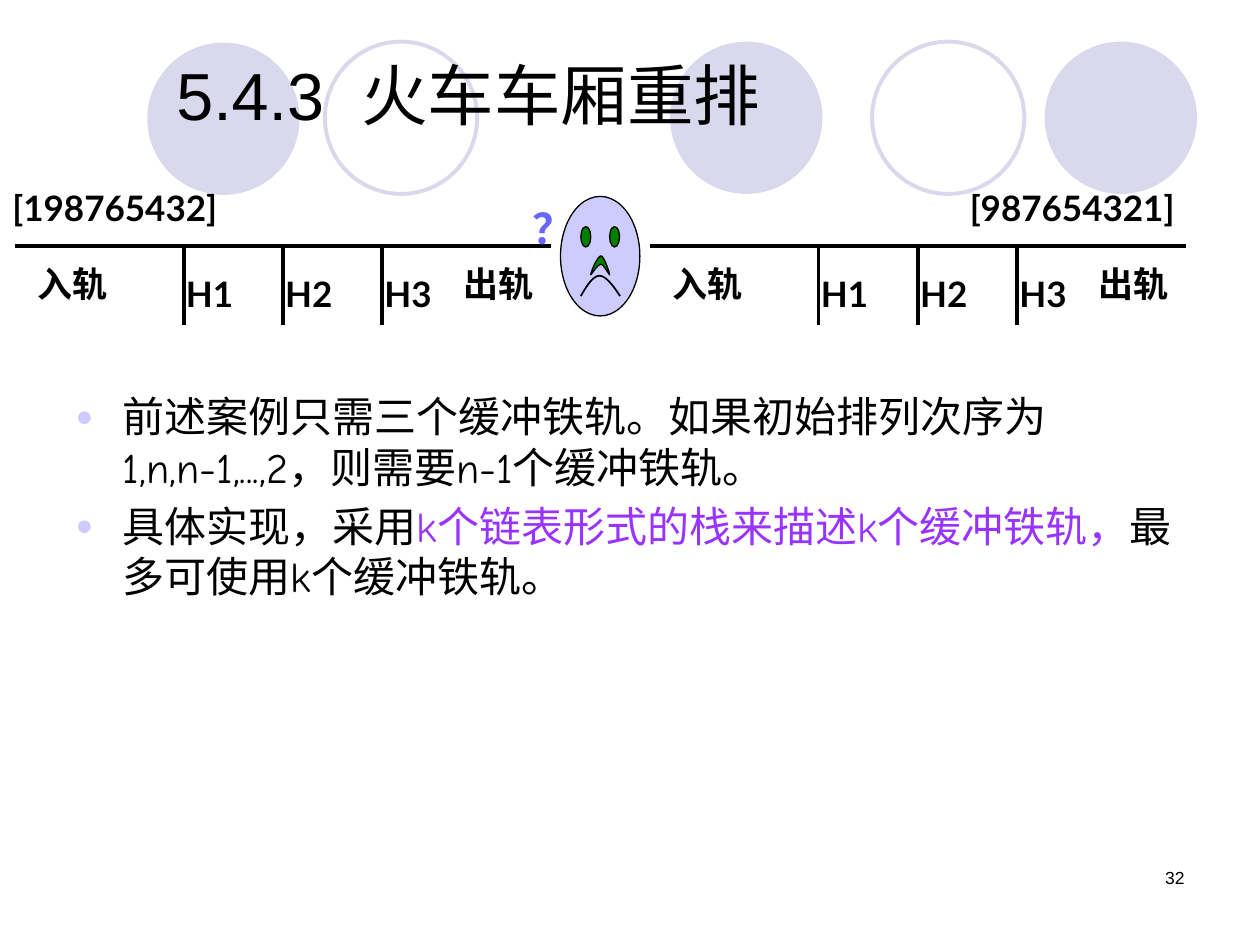
from dataclasses import dataclass

from lxml.etree import SubElement
from pptx import Presentation
from pptx.dml.color import RGBColor
from pptx.enum.shapes import MSO_CONNECTOR as Connector, MSO_SHAPE as Preset
from pptx.enum.text import MSO_ANCHOR as Anchor, MSO_AUTO_SIZE as AutoSize, PP_ALIGN as Align
from pptx.oxml.ns import qn
from pptx.util import Cm, Pt

Point = tuple[float, float]


@dataclass(frozen=True)
class Theme:
    ink: str = "000000"
    pale: str = "D9D8EC"
    lilac: str = "CCCCFF"
    accent: str = "9933FF"
    question: str = "6767FF"
    green: str = "008000"
    heading_font: str = "Arial"
    body_font: str = "Comic Neue"
    label_font: str = "Lato"
    title_size: float = 38
    body_size: float = 24
    label_size: float = 20
    number_size: float = 10
    thick: float = 2.25
    medium: float = 1
    thin: float = 0.75


@dataclass(frozen=True)
class Oval:
    left: float
    top: float
    width: float
    height: float
    fill: str | None = None
    line: str | None = None
    weight: float = 0.75


@dataclass(frozen=True)
class Track:
    left: float
    sequence: str
    sequence_left: float


THEME = Theme()
DISC = 3.07
CIRCLES = [
    Oval(13.51, 0.84, DISC, DISC, THEME.pale),
    Oval(21.06, 0.84, DISC, DISC, THEME.pale),
    Oval(2.97, 0.86, DISC, DISC, THEME.pale),
    Oval(17.58, 0.84, DISC, DISC, None, THEME.pale, THEME.thick),
    Oval(6.55, 0.84, DISC, DISC, None, THEME.pale, THEME.thick),
]
FACE = [
    Oval(11.3, 3.96, 1.6, 2.41, THEME.lilac, THEME.ink),
    Oval(11.71, 4.57, 0.2, 0.41, THEME.green, THEME.ink),
    Oval(12.29, 4.57, 0.2, 0.41, THEME.green, THEME.ink),
]
MOUTH = [
    (11.71, 5.97), (11.84, 5.74), (11.96, 5.56), (12.09, 5.56),
    (12.24, 5.56), (12.45, 5.89), (12.5, 5.97),
]
NOSE = [
    (11.91, 5.54), (11.91, 5.56), (12.04, 5.33), (12.12, 5.33),
    (12.17, 5.33), (12.29, 5.56), (12.29, 5.54),
    (12.29, 5.49), (12.17, 5.16), (12.12, 5.16),
    (12.04, 5.16), (11.91, 5.49), (11.91, 5.54),
]
TRACKS = [Track(0.3, "[198765432]", 0), Track(13.1, "[987654321]", 19.3)]
BODY = [
    [("前述案例只需三个缓冲铁轨。如果初始排列次序为1,n,n-1,...,2，则需要n-1个缓冲铁轨。", THEME.ink)],
    [
        ("具体实现，采用", THEME.ink),
        ("k个链表形式的栈来描述k个缓冲铁轨，", THEME.accent),
        ("最多可使用k个缓冲铁轨。", THEME.ink),
    ],
]


def color(value: str) -> RGBColor:
    """Turn a hex string into a colour."""
    return RGBColor.from_string(value)


def place(shape, left: float, top: float, width: float, height: float) -> None:
    """Position a shape in centimetres."""
    shape.left, shape.top, shape.width, shape.height = map(Cm, (left, top, width, height))


def set_font(paragraph, name: str, size: float, ink: str | None = None, bold: bool = False) -> None:
    """Set the font shared by a whole paragraph."""
    font = paragraph.font
    font.name, font.size, font.bold = name, Pt(size), bold
    if ink:
        font.color.rgb = color(ink)


def paint(shape, fill: str | None, line: str | None, weight: float) -> None:
    """Apply fill and outline without a shadow."""
    shape.shadow.inherit = False
    if fill:
        shape.fill.solid()
        shape.fill.fore_color.rgb = color(fill)
    else:
        shape.fill.background()
    if line:
        shape.line.color.rgb = color(line)
        shape.line.width = Pt(weight)
    else:
        shape.line.fill.background()


def draw_oval(slide, oval: Oval) -> None:
    """Draw one ellipse."""
    box = map(Cm, (oval.left, oval.top, oval.width, oval.height))
    paint(slide.shapes.add_shape(Preset.OVAL, *box), oval.fill, oval.line, oval.weight)


def draw_curve(slide, points: list[Point], fill: str | None, weight: float, steps: int = 10) -> None:
    """Draw a chain of cubic curves, closed when it is filled."""
    trail = [points[0]]
    for start in range(0, len(points) - 1, 3):
        segment = points[start:start + 4]
        for step in range(1, steps + 1):
            t = step / steps
            weights = ((1 - t) ** 3, 3 * t * (1 - t) ** 2, 3 * t * t * (1 - t), t ** 3)
            trail.append(tuple(sum(w * p[axis] for w, p in zip(weights, segment)) for axis in (0, 1)))
    trail = [(Cm(x), Cm(y)) for x, y in trail]
    builder = slide.shapes.build_freeform(*trail[0])
    builder.add_line_segments(trail[1:], close=fill is not None)
    paint(builder.convert_to_shape(), fill, THEME.ink, weight)


def draw_line(slide, start: Point, end: Point) -> None:
    """Draw one rail."""
    line = slide.shapes.add_connector(Connector.STRAIGHT, *map(Cm, start + end))
    line.line.color.rgb = color(THEME.ink)
    line.line.width = Pt(THEME.thick)
    SubElement(line.element.spPr, qn("a:effectLst"))


def draw_label(slide, text: str, left: float, top: float, width: float, height: float = 1.09,
               font: str = THEME.label_font, size: float = THEME.label_size,
               ink: str = THEME.ink, bold: bool = True, align: Align = Align.LEFT) -> None:
    """Write one line of text in a box."""
    box = slide.shapes.add_textbox(*map(Cm, (left, top, width, height)))
    box.text_frame.word_wrap = True
    paragraph = box.text_frame.paragraphs[0]
    paragraph.text, paragraph.alignment = text, align
    set_font(paragraph, font, size, ink, bold)


def draw_track(slide, track: Track) -> None:
    """Draw the main rail with its three buffer rails and labels."""
    rail_y = 4.95
    draw_line(slide, (track.left, rail_y), (track.left + 10.8, rail_y))
    for index in range(3):
        x = track.left + 3.4 + 2 * index
        draw_line(slide, (x, rail_y), (x, rail_y + 1.6))
        draw_label(slide, f"H{index + 1}", x - 0.2, 5.36, 1.6)
    draw_label(slide, track.sequence, track.sequence_left, 3.63, 5.2)
    draw_label(slide, "入轨", track.left + 0.2, 5.16, 2.01)
    draw_label(slide, "出轨", track.left + 8.8, 5.16, 2.01)


def add_bullet(paragraph) -> None:
    """Give a paragraph a hanging round bullet."""
    properties = paragraph._p.get_or_add_pPr()
    properties.set("marL", str(Cm(0.95)))
    properties.set("indent", str(Cm(-0.95)))
    SubElement(SubElement(properties, qn("a:buClr")), qn("a:srgbClr"), val=THEME.lilac)
    SubElement(properties, qn("a:buSzPct"), val="70000")
    SubElement(properties, qn("a:buFont"), typeface=THEME.heading_font)
    SubElement(properties, qn("a:buChar"), char="●")


def fill_placeholders(slide) -> None:
    """Write the title and the list in front of the circles."""
    title, body = slide.shapes.title, slide.placeholders[1]
    place(body, 1.27, 7.75, 22.86, 9.3)
    place(title, 3.3, 0.71, 21.51, 2.36)
    for placeholder in (body, title):
        placeholder.text_frame.auto_size = AutoSize.NONE
        slide.shapes.element.append(placeholder.element)
    title.text_frame.vertical_anchor = Anchor.MIDDLE
    heading = title.text_frame.paragraphs[0]
    heading.text, heading.alignment = "5.4.3  火车车厢重排", Align.LEFT
    set_font(heading, THEME.heading_font, THEME.title_size, THEME.ink)
    for index, runs in enumerate(BODY):
        paragraph = body.text_frame.add_paragraph() if index else body.text_frame.paragraphs[0]
        add_bullet(paragraph)
        paragraph.space_before = Pt(5 if index else 0)
        set_font(paragraph, THEME.body_font, THEME.body_size)
        for text, ink in runs:
            run = paragraph.add_run()
            run.text = text
            run.font.color.rgb = color(ink)


def main() -> None:
    """Build and save the slide."""
    presentation = Presentation()
    presentation.slide_width, presentation.slide_height = Cm(25.4), Cm(19.05)
    slide = presentation.slides.add_slide(presentation.slide_layouts[1])
    for circle in CIRCLES:
        draw_oval(slide, circle)
    draw_label(slide, "32", 18.21, 17.35, 5.92, 1.27, THEME.heading_font,
               THEME.number_size, bold=False, align=Align.RIGHT)
    fill_placeholders(slide)
    for track in TRACKS:
        draw_track(slide, track)
    for oval in FACE:
        draw_oval(slide, oval)
    draw_curve(slide, MOUTH, None, THEME.medium)
    draw_curve(slide, NOSE, THEME.green, THEME.thin)
    draw_label(slide, "？", 10.49, 3.96, 0.81, 1.27, THEME.body_font, THEME.body_size, THEME.question)
    presentation.save("out.pptx")


if __name__ == "__main__":
    main()
